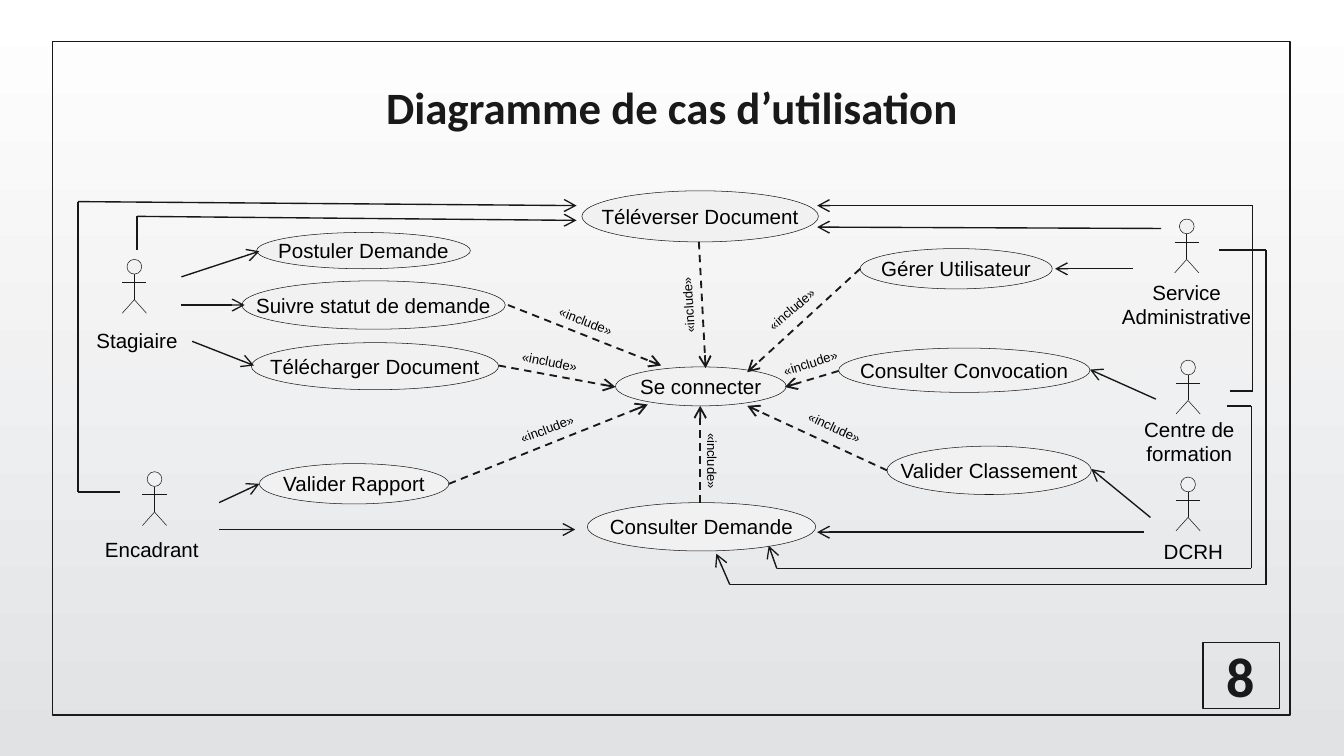
import pptx
import pptx.util
import pptx.dml.color
import pptx.enum.dml
import pptx.enum.shapes
import pptx.enum.text
import pptx.oxml.ns
from dataclasses import dataclass
from itertools import pairwise
from lxml import etree

SHAPE = pptx.enum.shapes.MSO_SHAPE
WIDTH = pptx.util.Inches(10)
HEIGHT = WIDTH * 9 // 16
COLS, ROWS = 100, 56.25  # square grid cells of 0.1 inch


@dataclass(frozen=True)
class Theme:
    ink: str = "191919"
    outline: str = "181818"
    text: str = "000000"
    oval: str = "F1F1F1"
    bg_top: str = "FFFFFF"
    bg_bottom: str = "E0E2E4"
    heading_font: str = "Calibri"
    body_font: str = "Arial"
    title_size: float = 24
    page_size: float = 30
    label_size: float = 11
    include_size: float = 7
    hairline: float = 0.29
    line: float = 0.75
    dashed: float = 1


THEME = Theme()

# Use cases: text, left, top, width, height
USE_CASES = [
    ("Téléverser Document", 43.3, 14.2, 17.6, 3.8),
    ("Postuler Demande", 19.1, 17.3, 15.9, 2.7),
    ("Suivre statut de demande", 18, 20.9, 19.6, 3.6),
    ("Télécharger Document", 18.7, 25.5, 18.4, 3.5),
    ("Valider Rapport", 19.3, 34.5, 14.1, 3),
    ("Consulter Demande", 43.7, 37.4, 17, 3.6),
    ("Gérer Utilisateur", 64, 18.5, 14.3, 3),
    ("Consulter Convocation", 62.4, 25.9, 18.7, 3.3),
    ("Valider Classement", 66, 33.2, 15.2, 3.6),
    ("Se connecter", 45.8, 27.3, 12.7, 2.9),
]

# Actors: lines of the name, figure centre, figure top, name centre, name top
ACTORS = [
    (["Stagiaire"], 10, 19.3, 10.2, 23.9),
    (["Encadrant"], 11.5, 35.1, 11.3, 39.4),
    (["Service", "Administrative"], 88.3, 16.3, 88.3, 20.3),
    (["Centre de", "formation"], 88.4, 26.8, 88.5, 30.5),
    (["DCRH"], 88.4, 35.5, 88.8, 39.6),
]

# Includes: start and end of the arrow, centre and angle of its label
INCLUDES = [
    ((37.1, 27.2), (45.8, 28.8), (40.9, 26.9), 11.4),
    ((33.4, 36), (48.2, 30.1), (40.7, 31.9), -21),
    ((52.1, 37.4), (52.1, 30.2), (53, 34.3), 90),
    ((37.8, 22.7), (49.2, 27.2), (43.6, 23.9), 21.4),
    ((52, 18), (52.5, 27.4), (51.2, 22.7), -93.5),
    ((64, 20), (55.6, 27.7), (58.9, 23), -40.3),
    ((62.4, 27.6), (58.4, 28.8), (60.3, 27), -17.4),
    ((66, 35), (55.6, 30.2), (62.1, 31.8), 25.1),
]

# Associations: corner points from the actor to the use case
ASSOCIATIONS = [
    # Stagiaire
    [(10.2, 18.6), (10.2, 16.1), (42.9, 16.4)],
    [(13.5, 20.6), (19.3, 18.7)],
    [(13.5, 22.7), (18.2, 22.7)],
    [(14.3, 25.4), (18.9, 27.2)],
    # Encadrant
    [(8.9, 36.6), (5.8, 36.6), (5.8, 15), (42.9, 15.3)],
    [(16.3, 37.4), (19.3, 36)],
    [(16.3, 39.4), (42.8, 39.4)],
    # Service Administrative
    [(86.4, 17), (60.8, 16.9)],
    [(84.3, 20), (78.5, 20)],
    [(90.7, 18.6), (94.2, 18.6), (94.2, 43.5), (54.3, 43.5), (53.3, 41.2)],
    # Centre de formation
    [(86, 29.7), (81.1, 27.5)],
    [(91.5, 29.1), (93.2, 29.1), (93.2, 15.3), (60.8, 15.3)],
    [(91.3, 30.2), (93.1, 30.2), (93.1, 42.3), (57.8, 42.3), (57.2, 40.6)],
    # DCRH
    [(85.6, 38.5), (81.2, 34.9)],
    [(85.1, 39.6), (60.8, 39.6)],
]


def x(col):
    return round(WIDTH * col / COLS)


def y(row):
    return round(HEIGHT * row / ROWS)


def rgb(value):
    return pptx.dml.color.RGBColor.from_string(value)


def set_line(s, color, width):
    s.line.color.rgb = rgb(color)
    s.line.width = pptx.util.Pt(width)


def set_text(s, lines, size, font=THEME.body_font, color=THEME.text, bold=False):
    tf = s.text_frame
    tf.word_wrap = False
    tf.vertical_anchor = pptx.enum.text.MSO_ANCHOR.MIDDLE
    tf.margin_left = tf.margin_right = tf.margin_top = tf.margin_bottom = 0
    tf.text = "\n".join(lines)
    for p in tf.paragraphs:
        p.alignment = pptx.enum.text.PP_ALIGN.CENTER
        p.font.name, p.font.size = font, pptx.util.Pt(size)
        p.font.color.rgb, p.font.bold = rgb(color), bold


def add_box(slide, kind, left, top, width, height, color, line_width, fill=None):
    s = slide.shapes.add_shape(kind, x(left), y(top), x(width), y(height))
    s.shadow.inherit = False
    if fill:
        s.fill.solid()
        s.fill.fore_color.rgb = rgb(fill)
    else:
        s.fill.background()
    set_line(s, color, line_width)
    return s


def add_label(slide, lines, center, middle, width, height, size, angle=0, **style):
    s = slide.shapes.add_textbox(
        x(center - width / 2), y(middle - height / 2), x(width), y(height))
    s.rotation = angle
    set_text(s, lines, size, **style)


def add_use_case(slide, text, *place):
    s = add_box(slide, SHAPE.OVAL, *place, THEME.outline, THEME.hairline, THEME.oval)
    set_text(s, [text], THEME.label_size)


def add_actor(slide, name, center, top, name_center, name_top):
    head, arm = 1.1, 0.9
    add_box(slide, SHAPE.OVAL, center - head / 2, top, head, head,
            THEME.outline, THEME.hairline, THEME.oval)
    neck, arms, hip, feet = (top + d for d in (1.1, 1.7, 3, 4))
    left, right = center - arm, center + arm
    body = slide.shapes.build_freeform(x(center), y(neck))
    body.add_line_segments([(x(center), y(hip))], close=False)
    for start, end in [((left, arms), (right, arms)),
                       ((center, hip), (left, feet)),
                       ((center, hip), (right, feet))]:
        body.move_to(x(start[0]), y(start[1]))
        body.add_line_segments([(x(end[0]), y(end[1]))], close=False)
    s = body.convert_to_shape()
    s.shadow.inherit = False
    s.fill.background()
    set_line(s, THEME.outline, THEME.hairline)
    height = 1.1 + 1.8 * len(name)
    add_label(slide, name, name_center, name_top + height / 2, 10, height,
              THEME.label_size)


def add_route(slide, points, color, width, dashed=False):
    """Straight segments through the points, with an arrowhead on the last."""
    qn = pptx.oxml.ns.qn
    for start, end in pairwise(points):
        s = slide.shapes.add_connector(
            pptx.enum.shapes.MSO_CONNECTOR.STRAIGHT,
            x(start[0]), y(start[1]), x(end[0]), y(end[1]))
        set_line(s, color, width)
        if dashed:
            s.line.dash_style = pptx.enum.dml.MSO_LINE.DASH
        sp = s._element.spPr
        etree.SubElement(sp, qn("a:effectLst"))
    etree.SubElement(sp.find(qn("a:ln")), qn("a:tailEnd"), type="arrow")


def add_frame(slide):
    fill = slide.background.fill
    fill.gradient()
    fill.gradient_angle = 270
    for stop, color in zip(fill.gradient_stops, (THEME.bg_top, THEME.bg_bottom)):
        stop.color.rgb = rgb(color)
    add_box(slide, SHAPE.RECTANGLE, 3.9, 3.1, 92.1, 50.1, THEME.ink, THEME.line)
    heading = dict(font=THEME.heading_font, color=THEME.ink, bold=True)
    add_label(slide, ["Diagramme de cas d’utilisation"], 50, 7.9, 84.3, 6.3,
              THEME.title_size, **heading)
    s = add_box(slide, SHAPE.RECTANGLE, 89.5, 47.8, 5.7, 4.9, THEME.ink, THEME.line)
    set_text(s, ["8"], THEME.page_size, **heading)


def main():
    prs = pptx.Presentation()
    prs.slide_width, prs.slide_height = WIDTH, HEIGHT
    slide = prs.slides.add_slide(prs.slide_layouts[6])
    add_frame(slide)
    for actor in ACTORS:
        add_actor(slide, *actor)
    for use_case in USE_CASES:
        add_use_case(slide, *use_case)
    for start, end, (center, middle), angle in INCLUDES:
        add_route(slide, [start, end], THEME.ink, THEME.dashed, dashed=True)
        add_label(slide, ["«include»"], center, middle, 6.2, 2.2,
                  THEME.include_size, angle)
    for points in ASSOCIATIONS:
        add_route(slide, points, THEME.outline, THEME.line)
    prs.save("out.pptx")


if __name__ == "__main__":
    main()
